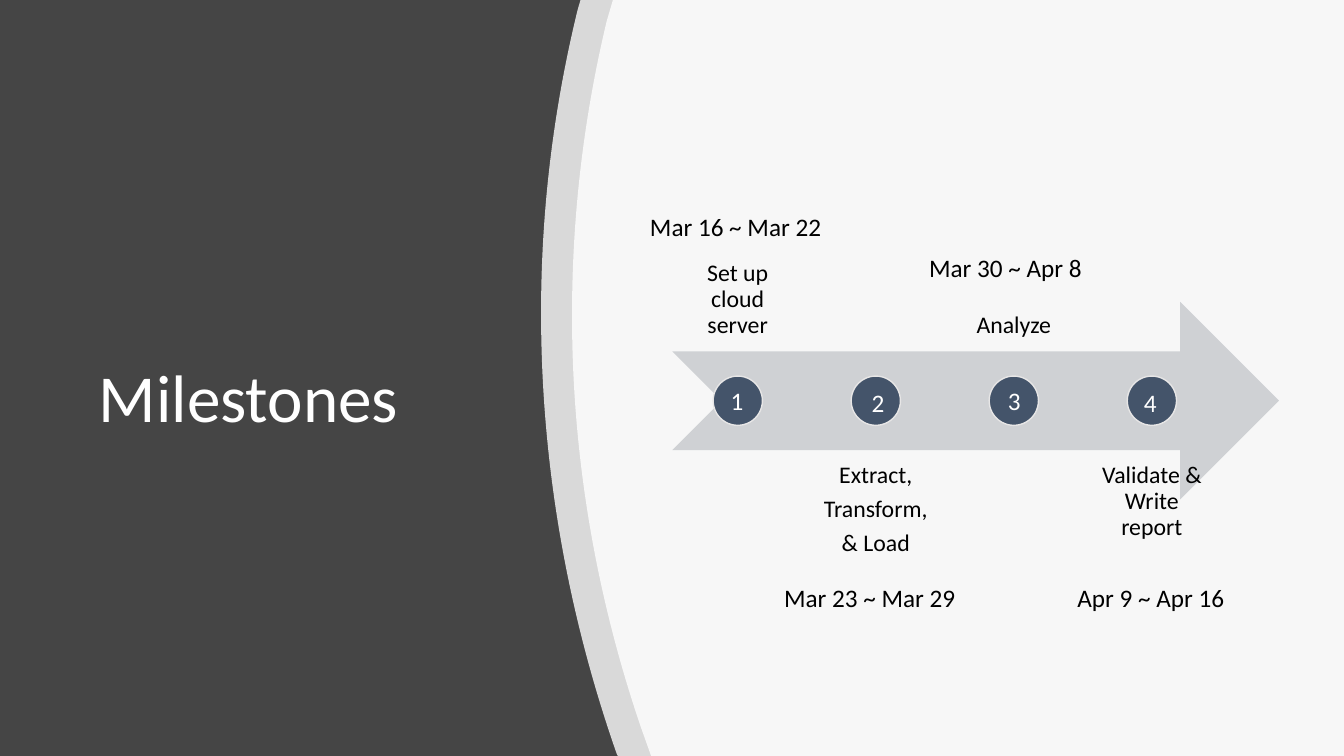
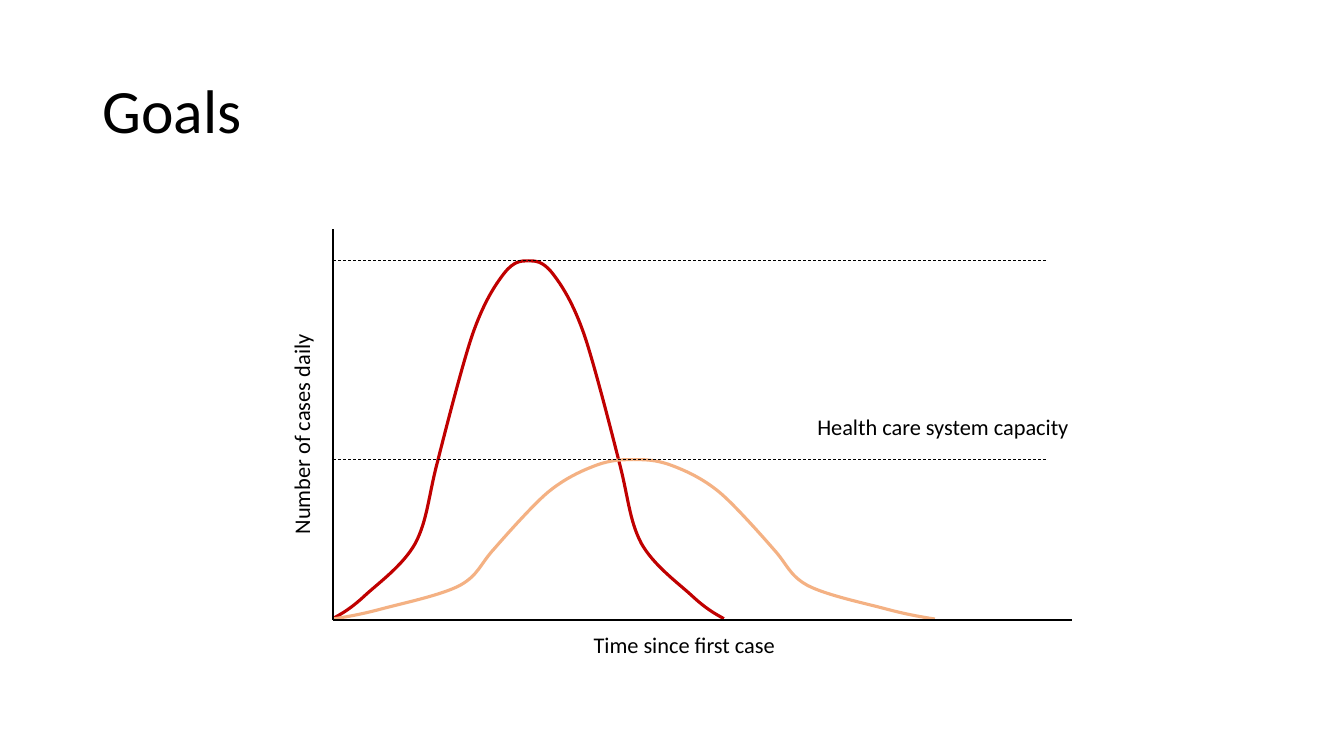
from dataclasses import dataclass
from typing import Any

from lxml.etree import SubElement
from pptx import Presentation
from pptx.dml.color import RGBColor
from pptx.enum.dml import MSO_LINE
from pptx.enum.shapes import MSO_CONNECTOR, MSO_SHAPE
from pptx.enum.text import MSO_ANCHOR, MSO_AUTO_SIZE, PP_ALIGN
from pptx.oxml.ns import qn
from pptx.util import Pt

Point = tuple[float, float]

WIDTH, HEIGHT = 960, 540
FONT = "Calibri"
BLACK, WHITE = "000000", "FFFFFF"
CHARCOAL, ARROW_GREY, SLATE, PALE_GREY = "454545", "CFD1D4", "44546A", "E7E6E6"
RED, ORANGE = "C00000", "F4B183"

TITLE_FRAME = {"vertical_anchor": MSO_ANCHOR.MIDDLE, "auto_size": MSO_AUTO_SIZE.NONE}
TITLE_PARAGRAPH = {"alignment": PP_ALIGN.LEFT, "line_spacing": 0.9}
ONE_LINE = {"word_wrap": False, "auto_size": MSO_AUTO_SIZE.SHAPE_TO_FIT_TEXT}
WRAPPED = {"word_wrap": True, "auto_size": MSO_AUTO_SIZE.SHAPE_TO_FIT_TEXT}
STAGE_FRAME = {"word_wrap": True} | {
    f"margin_{side}": Pt(9.4) for side in ("left", "top", "right", "bottom")
}
STAGE_PARAGRAPH = {"alignment": PP_ALIGN.CENTER, "line_spacing": 0.9, "space_after": Pt(6)}


@dataclass(frozen=True)
class Band:
    foot: float
    curve: list[Point]
    head: float


@dataclass(frozen=True)
class Milestone:
    lines: list[str]
    number_at: Point
    dates: str
    dates_box: tuple[float, float, float]
    above: bool


@dataclass(frozen=True)
class Outbreak:
    color: str
    peak: Point
    half_size: Point


BANDS = [
    Band(441.4, [(440.6, 538.6), (405.2, 437.5), (386.5, 331.2), (386.5, 223.5),
                 (386.5, 151.7), (395, 79.2), (412.6, 7.2)], 414.7),
    Band(465.1, [(457.9, 519.8), (425.6, 425.1), (408.6, 325.9), (408.6, 225.4),
                 (408.6, 155.5), (416.6, 85.1), (433.4, 15.1)], 437.8),
]
MILESTONES = [
    Milestone(["Set up cloud server"], (514.8, 271.4),
              "Mar 16 ~ Mar 22", (457.2, 147.6, 138.2), True),
    Milestone(["Extract,", "Transform,", "& Load"], (615.6, 272.9),
              "Mar 23 ~ Mar 29", (553, 412.2, 138.2), False),
    Milestone(["Analyze"], (712.8, 271.4),
              "Mar 30 ~ Apr 8", (656.6, 176.4, 124.6), True),
    Milestone(["Validate & Write report"], (810, 272.9),
              "Apr 9 ~ Apr 16", (762.5, 412.2, 121), False),
]
# Bezier points of half an outbreak, measured from its peak
HALF_OUTBREAK: list[Point] = [
    (0, 0), (5, 0), (10.1, 0), (17, 8.6), (23.8, 17.3), (31.7, 29.5), (39.6, 51.8),
    (47.5, 74.2), (64.8, 143.3), (64.8, 143.3), (71.3, 167.8), (72, 185),
    (80.6, 201.6), (89.3, 217.4), (107.3, 230.4), (116.6, 239), (126.7, 248.4),
    (133.2, 252), (139.7, 255.6),
]
OUTBREAKS = [
    Outbreak(RED, (377.4, 186.3), (139.7, 255.6)),
    Outbreak(ORANGE, (452.7, 328.3), (215.1, 113.9)),
]


def rgb(color: str) -> RGBColor:
    return RGBColor.from_string(color)


def apply(target: Any, values: dict[str, Any]) -> None:
    for attribute, value in values.items():
        setattr(target, attribute, value)


def write(frame: Any, lines: list[str], size: float, color: str,
          frame_format: dict[str, Any], paragraph_format: dict[str, Any]) -> None:
    apply(frame, frame_format)
    for index, line in enumerate(lines):
        paragraph = frame.add_paragraph() if index else frame.paragraphs[0]
        paragraph.text = line
        apply(paragraph, paragraph_format)
        apply(paragraph.font, {"name": FONT, "size": Pt(size)})
        paragraph.font.color.rgb = rgb(color)


def add_text(shapes: Any, box: tuple[float, ...], lines: list[str], size: float,
             color: str, frame_format: dict[str, Any],
             paragraph_format: dict[str, Any] | None = None) -> Any:
    label = shapes.add_textbox(*map(Pt, box))
    write(label.text_frame, lines, size, color, frame_format, paragraph_format or {})
    return label


def add_titled_slide(deck: Any, title: str, box: tuple[float, ...], size: float,
                     color: str, background: str) -> Any:
    slide = deck.slides.add_slide(deck.slide_layouts[5])
    slide.background.fill.solid()
    slide.background.fill.fore_color.rgb = rgb(background)
    heading = slide.shapes.title
    apply(heading, dict(zip(("left", "top", "width", "height"), map(Pt, box))))
    write(heading.text_frame, [title], size, color, TITLE_FRAME, TITLE_PARAGRAPH)
    return slide


def paint(shape: Any, fill: str | None = None, line: str | None = None,
          weight: float = 1) -> None:
    shape.shadow.inherit = False
    if fill:
        shape.fill.solid()
        shape.fill.fore_color.rgb = rgb(fill)
    else:
        shape.fill.background()
    if line:
        shape.line.color.rgb = rgb(line)
        shape.line.width = Pt(weight)
    else:
        shape.line.fill.background()


def set_opacity(shape: Any, percent: int) -> None:
    color = next(shape._element.spPr.iter(qn("a:srgbClr")))
    SubElement(color, qn("a:alpha")).set("val", str(percent * 1000))


def add_outline(shapes: Any, points: list[Point], curved: slice, close: bool) -> Any:
    """Draw an outline; each three points in the curved slice form one Bezier piece."""
    start, *rest = [(Pt(x), Pt(y)) for x, y in points]
    builder = shapes.build_freeform(*start)
    builder.add_line_segments(rest, close=close)
    outline = builder.convert_to_shape()
    segments = list(outline._element.spPr.iter(qn("a:lnTo")))[curved]
    for piece, *others in zip(segments[::3], segments[1::3], segments[2::3]):
        piece.tag = qn("a:cubicBezTo")
        for other in others:
            piece.append(other[0])
            other.getparent().remove(other)
    return outline


def add_line(shapes: Any, start: Point, end: Point, weight: float,
             dashed: bool = False) -> None:
    rule = shapes.add_connector(MSO_CONNECTOR.STRAIGHT, *map(Pt, (*start, *end)))
    rule.line.color.rgb = rgb(BLACK)
    rule.line.width = Pt(weight)
    if dashed:
        rule.line.dash_style = MSO_LINE.DASH
    SubElement(rule._element.spPr, qn("a:effectLst"))


def build_milestones(deck: Any) -> None:
    slide = add_titled_slide(deck, "Milestones", (63.4, 113.8, 285.1, 344.9),
                             48, WHITE, CHARCOAL)
    for band in BANDS:
        points = [(WIDTH, 0), (WIDTH, HEIGHT), (band.foot, HEIGHT),
                  *band.curve, (band.head, 0)]
        panel = add_outline(slide.shapes, points, slice(3, -1), close=True)
        paint(panel, WHITE)
        set_opacity(panel, 80)

    left, top, length, thickness = 480.2, 215.7, 433.4, 141.1
    stage_width, pitch, dot = 93.6, 98.6, 35.2
    timeline = slide.shapes.add_group_shape().shapes
    arrow = timeline.add_shape(MSO_SHAPE.NOTCHED_RIGHT_ARROW,
                               *map(Pt, (left, top, length, thickness)))
    paint(arrow, ARROW_GREY)
    for index, milestone in enumerate(MILESTONES):
        stage_left = left + index * pitch
        stage_top = 109.9 if milestone.above else 321.4
        anchor = MSO_ANCHOR.BOTTOM if milestone.above else MSO_ANCHOR.TOP
        add_text(timeline, (stage_left, stage_top, stage_width, thickness),
                 milestone.lines, 17, BLACK,
                 STAGE_FRAME | {"vertical_anchor": anchor}, STAGE_PARAGRAPH)
        marker = timeline.add_shape(
            MSO_SHAPE.OVAL, Pt(stage_left + (stage_width - dot) / 2),
            Pt(top + (thickness - dot) / 2), Pt(dot), Pt(dot))
        paint(marker, SLATE, PALE_GREY)

    for number, milestone in enumerate(MILESTONES, start=1):
        add_text(slide.shapes, (*milestone.number_at, 23.8, 29), [str(number)],
                 18, WHITE, ONE_LINE)
    for milestone in MILESTONES:
        add_text(slide.shapes, (*milestone.dates_box, 29), [milestone.dates],
                 18, BLACK, ONE_LINE)


def build_goals(deck: Any) -> None:
    slide = add_titled_slide(deck, "Goals", (66, 28.8, 828, 104.4), 44, BLACK, WHITE)
    reach, drop = HALF_OUTBREAK[-1]
    for outbreak in OUTBREAKS:
        halves = slide.shapes.add_group_shape().shapes
        (peak_x, peak_y), (width, height) = outbreak.peak, outbreak.half_size
        for side in (-1, 1):
            points = [(peak_x + side * x * width / reach, peak_y + y * height / drop)
                      for x, y in HALF_OUTBREAK]
            paint(add_outline(halves, points, slice(None), close=False),
                  line=outbreak.color, weight=2.25)

    origin = (238, 442.8)
    add_line(slide.shapes, origin, (766, origin[1]), 1.5)
    add_line(slide.shapes, origin, (origin[0], 163.6), 1.5)
    for outbreak in OUTBREAKS:
        level = outbreak.peak[1]
        add_line(slide.shapes, (origin[0], level), (748, level), 0.5, dashed=True)

    for wording, label_left, label_top, rotation in (
        ("Health care system capacity", 576.7, 291.6, 0),
        ("Time since first case", 416.9, 447.1, 0),
        ("Number of cases daily", 103.4, 263.5, 270),
    ):
        label = add_text(slide.shapes, (label_left, label_top, 223.9, 26.6),
                         [wording], 16, BLACK, WRAPPED)
        label.rotation = rotation


def main() -> None:
    deck = Presentation()
    deck.slide_width, deck.slide_height = Pt(WIDTH), Pt(HEIGHT)
    build_milestones(deck)
    build_goals(deck)
    deck.save("out.pptx")


if __name__ == "__main__":
    main()
